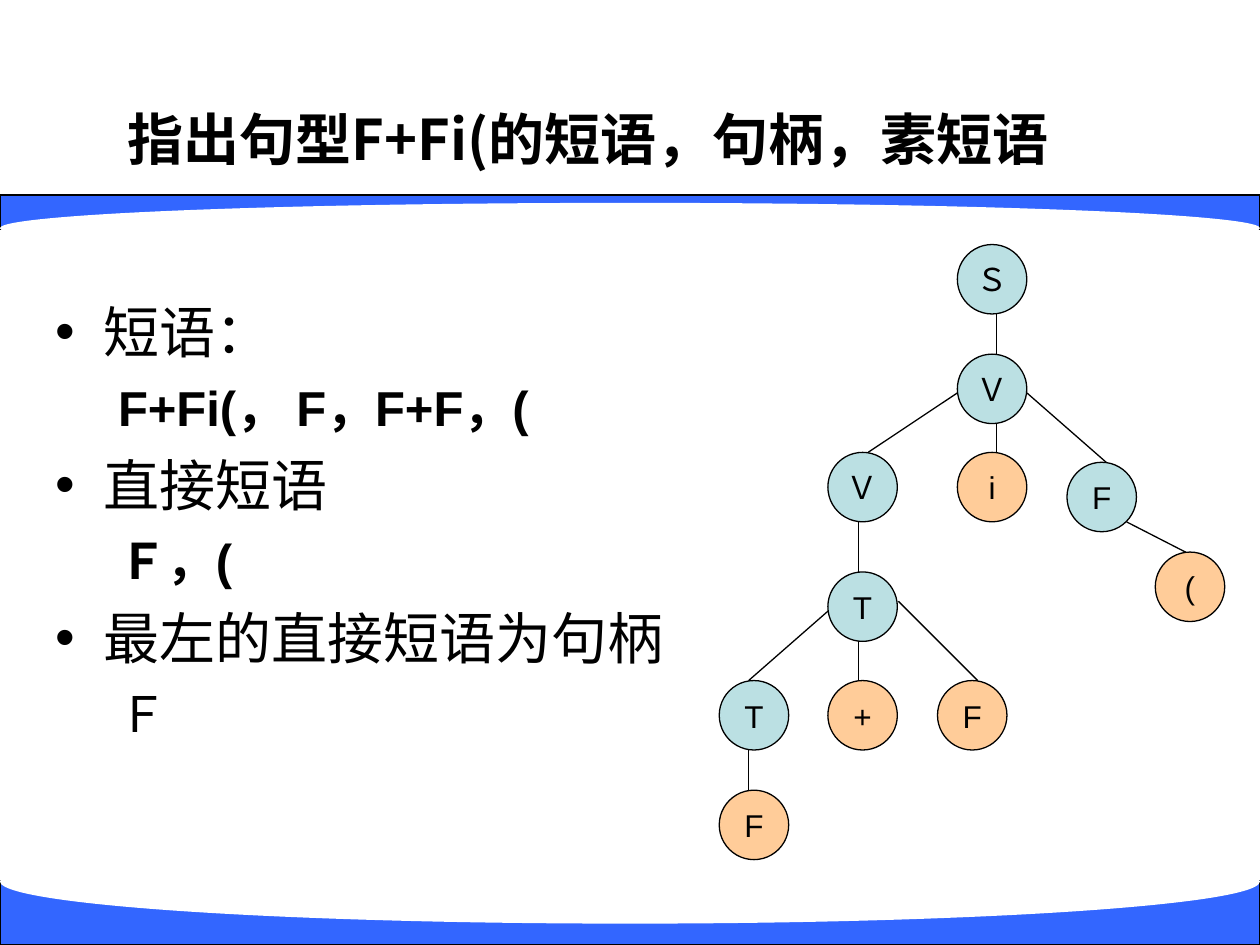
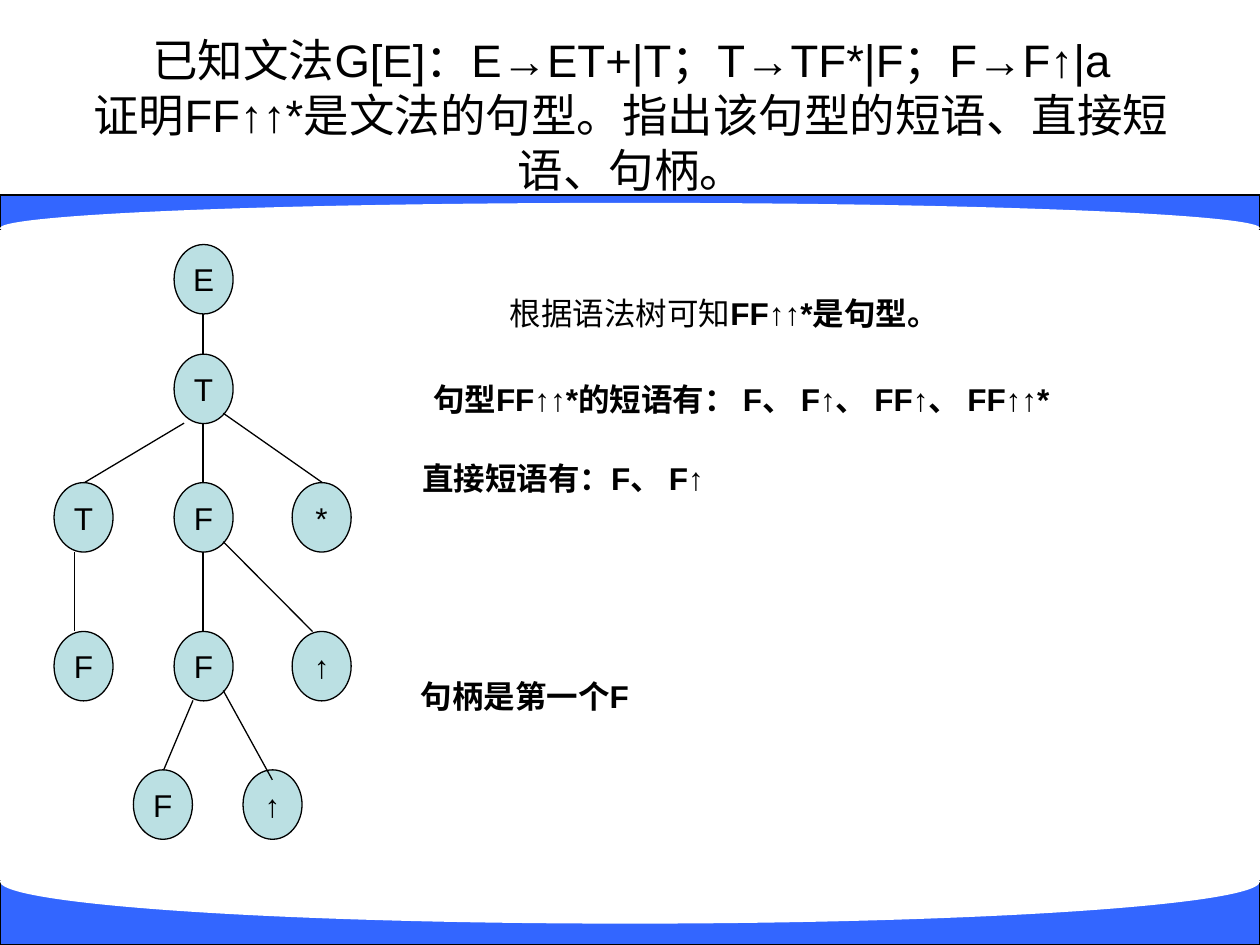
from lxml import etree
from pptx import Presentation
from pptx.dml.color import RGBColor
from pptx.enum.shapes import MSO_CONNECTOR, MSO_SHAPE
from pptx.enum.text import MSO_ANCHOR, PP_ALIGN
from pptx.oxml.ns import qn
from pptx.util import Cm, Pt

RECT, OVAL = MSO_SHAPE.RECTANGLE, MSO_SHAPE.OVAL
STRAIGHT = MSO_CONNECTOR.STRAIGHT
MIDDLE, TOP = MSO_ANCHOR.MIDDLE, MSO_ANCHOR.TOP
CENTER, LEFT = PP_ALIGN.CENTER, PP_ALIGN.LEFT

# Shared style
BLACK, WHITE, BLUE = "000000", "FFFFFF", "3366FF"
TEAL, ORANGE = "BBE0E3", "FFCC99"
LATIN, CJK = "Arial", "Noto Sans CJK SC"
WIDTH, HEIGHT = 25.4, 19.05
LINE_PT = 0.75
LEADING = 1.21
NODE_H = 1.4


def rgb(code):
    return RGBColor.from_string(code)


# Text
def add_run(p, text, size, bold=False, latin=LATIN):
    r = p.add_run()
    r.text = text
    r.font.size = Pt(size)
    r.font.bold = bold
    r.font.color.rgb = rgb(BLACK)
    r.font.name = latin
    etree.SubElement(r.font._element, qn("a:ea"), typeface=CJK)


def format_paragraph(p, size, align=LEFT):
    p.alignment = align
    p.line_spacing = Pt(round(size * LEADING, 1))


def add_textbox(s, x, y, w, h, anchor=TOP, wrap=True):
    tf = s.shapes.add_textbox(Cm(x), Cm(y), Cm(w), Cm(h)).text_frame
    tf.word_wrap = wrap
    tf.vertical_anchor = anchor
    return tf


def add_title(s, box, lines, size, bold=False, latin=LATIN):
    p = add_textbox(s, *box, anchor=MIDDLE).paragraphs[0]
    format_paragraph(p, size, CENTER)
    for i, line in enumerate(lines):
        if i:
            p.add_line_break()
        add_run(p, line, size, bold, latin)


def add_answer(s, x, y, w, runs):
    p = add_textbox(s, x, y, w, 1.02, wrap=False).paragraphs[0]
    format_paragraph(p, 18)
    for text, bold in runs:
        add_run(p, text, 18, bold)


def indent(p, margin, hanging, bullet=None):
    pPr = p._p.get_or_add_pPr()
    pPr.set("marL", str(Cm(margin)))
    pPr.set("indent", str(-Cm(hanging)))
    if bullet:
        etree.SubElement(pPr, qn("a:buFont"), typeface=LATIN)
        etree.SubElement(pPr, qn("a:buChar"), char=bullet)
    else:
        etree.SubElement(pPr, qn("a:buNone"))


def add_phrase_list(s, box, items):
    """Each item is a bulleted heading, its answer and whether that is bold."""
    tf = add_textbox(s, *box)
    for i, (heading, answer, bold) in enumerate(items):
        p = tf.add_paragraph() if i else tf.paragraphs[0]
        indent(p, 0.97, 0.97, "•")
        format_paragraph(p, 32)
        p.space_before = Pt(8 if i else 0)
        add_run(p, heading, 32)

        p = tf.add_paragraph()
        indent(p, 2.06, 0.79)
        format_paragraph(p, 28)
        p.space_before = Pt(7)
        add_run(p, answer, 28, bold)


# Shapes
def add_filled(s, kind, x, y, w, h, fill, outlined=True):
    sp = s.shapes.add_shape(kind, Cm(x), Cm(y), Cm(w), Cm(h))
    sp.shadow.inherit = False
    sp.fill.solid()
    sp.fill.fore_color.rgb = rgb(fill)
    if outlined:
        sp.line.color.rgb = rgb(BLACK)
        sp.line.width = Pt(LINE_PT)
    else:
        sp.line.fill.background()
    return sp


def add_node(s, x, y, w, label, fill=TEAL, bold=False):
    tf = add_filled(s, OVAL, x, y, w, NODE_H, fill).text_frame
    tf.word_wrap = False
    tf.vertical_anchor = MIDDLE
    p = tf.paragraphs[0]
    format_paragraph(p, 18, CENTER)
    add_run(p, label, 18, bold)


def add_edge(s, x1, y1, x2, y2):
    line = s.shapes.add_connector(STRAIGHT, Cm(x1), Cm(y1), Cm(x2), Cm(y2))
    line.line.color.rgb = rgb(BLACK)
    line.line.width = Pt(LINE_PT)
    etree.SubElement(line._element.spPr, qn("a:effectLst"))


def add_slide(prs):
    """Blank slide with the curved blue bands."""
    s = prs.slides.add_slide(prs.slide_layouts[6])
    s.background.fill.solid()
    s.background.fill.fore_color.rgb = rgb(WHITE)
    bands = [(3.93, 0.69, 4.09, 1.02), (17.75, 1.3, 16.92, 1.7)]
    for band_y, band_h, curve_y, curve_h in bands:
        add_filled(s, RECT, 0, band_y, WIDTH, band_h, BLUE)
        add_filled(s, OVAL, 0, curve_y, WIDTH, curve_h, WHITE, outlined=False)
    return s


# Slides
def build_phrases(prs):
    s = add_slide(prs)
    add_title(s, (0, 1.9, 23.72, 1.75), ["指出句型F+Fi(的短语，句柄，素短语"],
              32, bold=True, latin=CJK)
    add_phrase_list(s, (0.86, 5.86, 14.4, 10.8), [
        ("短语：", "F+Fi(， F，F+F，(", True),
        ("直接短语", "Ｆ，(", True),
        ("最左的直接短语为句柄", "Ｆ", False),
    ])

    # Syntax tree: inner nodes teal, leaves orange
    inner = [(19.3, 4.93, "Ｓ"), (19.3, 7.14, "Ｖ"), (16.69, 9.12, "Ｖ"),
             (21.51, 9.32, "F"), (16.69, 11.53, "T"), (14.5, 13.72, "T")]
    leaves = [(19.3, 9.12, "i"), (23.29, 11.13, "("), (18.9, 13.72, "F"),
              (16.69, 13.72, "+"), (14.5, 15.93, "F")]
    for nodes, fill in ((inner, TEAL), (leaves, ORANGE)):
        for x, y, label in nodes:
            add_node(s, x, y, NODE_H, label, fill)
    for edge in [
        (20.09, 6.32, 20.09, 7.14), (20.09, 8.53, 20.09, 9.12),
        (19.3, 7.92, 17.5, 9.12), (20.7, 7.92, 22.3, 9.32),
        (22.71, 10.52, 23.9, 11.13), (17.3, 10.52, 17.3, 11.53),
        (17.3, 12.93, 17.3, 13.72), (16.69, 12.32, 15.09, 13.72),
        (18.11, 12.12, 19.71, 13.72), (15.09, 15.11, 15.09, 15.93),
    ]:
        add_edge(s, *edge)


def build_grammar_proof(prs):
    s = add_slide(prs)
    add_title(s, (1.3, 0.71, 22.86, 3.18), [
        "已知文法G[E]：E→ET+|T；T→TF*|F；F→F↑|a",
        "证明FF↑↑*是文法的句型。指出该句型的短语、直接短语、句柄。",
    ], 26)

    # Syntax tree, level by level
    left, mid, right = 1.09, 3.51, 5.89
    levels = [
        (4.93, [(mid, "E")]),
        (7.14, [(mid, "T")]),
        (9.73, [(left, "T"), (mid, "F"), (right, "*")]),
        (12.73, [(left, "F"), (mid, "F"), (right, "↑")]),
        (15.52, [(2.69, "F"), (4.9, "↑")]),
    ]
    for y, nodes in levels:
        for x, label in nodes:
            add_node(s, x, y, 1.19, label, bold=label == "↑")
    for edge in [
        (4.09, 6.32, 4.09, 7.14), (4.09, 8.53, 4.09, 9.73),
        (3.71, 8.53, 1.7, 9.73), (4.5, 8.33, 6.5, 9.73),
        (1.5, 11.13, 1.5, 12.73), (4.09, 11.13, 4.09, 12.73),
        (4.5, 10.92, 6.3, 12.73), (3.89, 14.12, 3.3, 15.52),
        (4.5, 13.92, 5.49, 15.72),
    ]:
        add_edge(s, *edge)

    # Answers
    for x, y, w, runs in [
        (10.03, 5.79, 9.45, [("根据语法树可知", False), ("FF↑↑*是句型。", True)]),
        (8.48, 7.52, 14.3, [("句型FF↑↑*的短语有： F、 F↑、 FF↑、 FF↑↑*", True)]),
        (8.26, 9.12, 6.63, [("直接短语有：F、 F↑", True)]),
        (8.23, 13.51, 4.85, [("句柄是第一个F", True)]),
    ]:
        add_answer(s, x, y, w, runs)


def main():
    prs = Presentation()
    prs.slide_width, prs.slide_height = Cm(WIDTH), Cm(HEIGHT)
    build_phrases(prs)
    build_grammar_proof(prs)
    prs.save("out.pptx")


if __name__ == "__main__":
    main()
